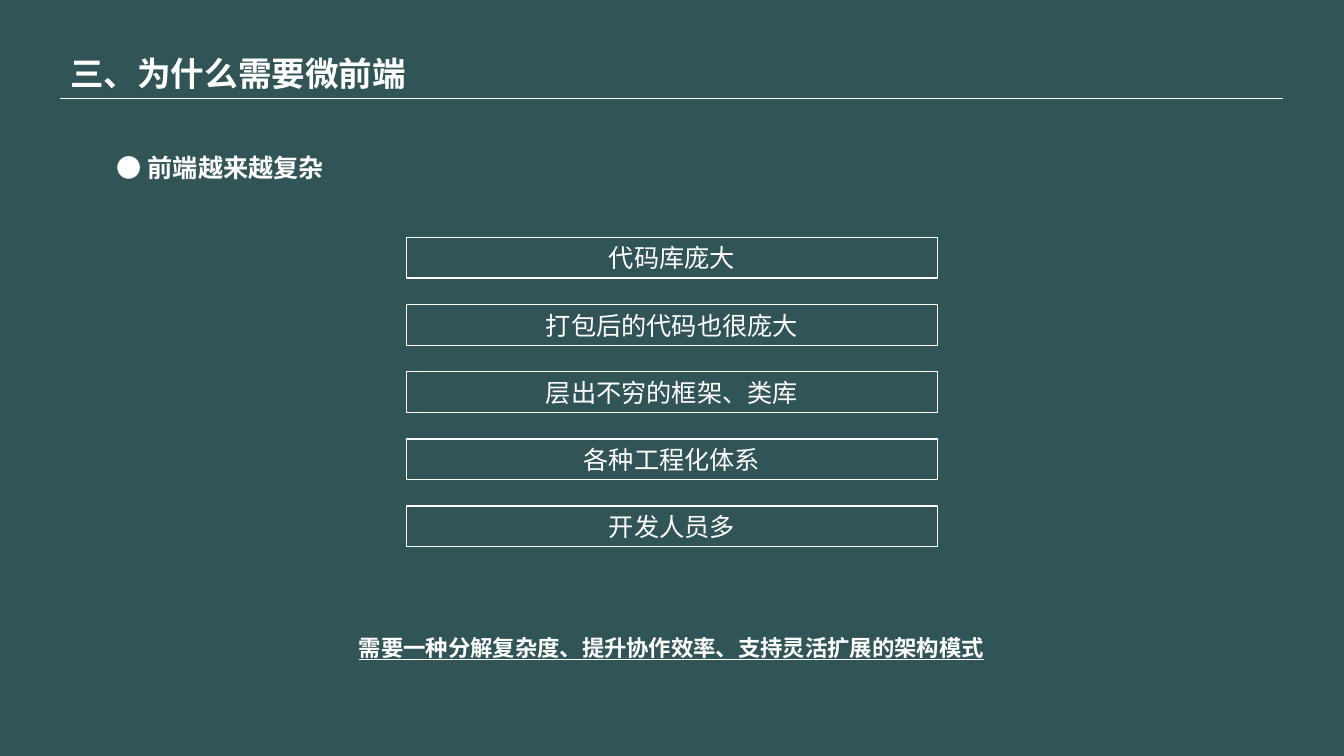
from dataclasses import dataclass

import lxml.etree
import pptx
import pptx.dml.color
import pptx.enum.shapes
import pptx.enum.text
import pptx.oxml.ns
import pptx.util

Pt = pptx.util.Pt
Align = pptx.enum.text.PP_ALIGN
Anchor = pptx.enum.text.MSO_ANCHOR


@dataclass(frozen=True)
class Theme:
    font: str = "Noto Sans CJK SC"
    background: str = "315457"
    ink: str = "FFFFFF"
    title_size: int = 24
    body_size: int = 18
    summary_size: int = 16


THEME = Theme()
INK = pptx.dml.color.RGBColor.from_string(THEME.ink)
REASONS = (
    "代码库庞大",
    "打包后的代码也很庞大",
    "层出不穷的框架、类库",
    "各种工程化体系",
    "开发人员多",
)


def write(shape, text, size, bold=False, align=Align.LEFT):
    """Put one paragraph into the shape and return it."""
    para = shape.text_frame.paragraphs[0]
    para.text = text
    para.alignment = align
    font = para.font
    font.name, font.size, font.bold = THEME.font, Pt(size), bold
    font.color.rgb = INK
    # The East Asian typeface has no public setter.
    properties = para.runs[0].font
    properties.name = THEME.font
    for latin in para._p.iter(pptx.oxml.ns.qn("a:latin")):
        east_asian = lxml.etree.Element(pptx.oxml.ns.qn("a:ea"), typeface=THEME.font)
        latin.addnext(east_asian)
    return para


def add_text(page, left, top, width, height, text, size, align=Align.LEFT, wrap=True):
    box = page.shapes.add_textbox(Pt(left), Pt(top), Pt(width), Pt(height))
    box.text_frame.word_wrap = wrap
    return write(box, text, size, bold=True, align=align)


def add_header(page, left, top, width, height):
    """Place the title with a rule along the lower edge of its region."""
    add_text(page, left, top, 257, height, "三、为什么需要微前端", THEME.title_size, wrap=False)
    bottom = Pt(top + height)
    rule = page.shapes.add_connector(
        pptx.enum.shapes.MSO_CONNECTOR.STRAIGHT, Pt(left), bottom, Pt(left + width), bottom
    )
    rule.line.color.rgb = INK
    rule.line.width = Pt(0.5)
    lxml.etree.SubElement(rule._element.spPr, pptx.oxml.ns.qn("a:effectLst"))


def add_reasons(page, left, top, width, height, box_height=29):
    """Spread the outlined boxes evenly from the top to the bottom of the region."""
    pitch = (height - box_height) / (len(REASONS) - 1)
    for row, reason in enumerate(REASONS):
        box = page.shapes.add_shape(
            pptx.enum.shapes.MSO_SHAPE.RECTANGLE,
            Pt(left), Pt(top + row * pitch), Pt(width), Pt(box_height),
        )
        box.shadow.inherit = False
        box.fill.background()
        box.line.color.rgb = INK
        box.line.width = Pt(1)
        box.text_frame.vertical_anchor = Anchor.MIDDLE
        write(box, reason, THEME.body_size, align=Align.CENTER)


def add_summary(page, left, top, width, height):
    para = add_text(
        page, left, top, width, height,
        "需要一种分解复杂度、提升协作效率、支持灵活扩展的架构模式",
        THEME.summary_size, align=Align.CENTER,
    )
    para.line_spacing = Pt(22)
    para.font.underline = True


def build_page(deck):
    page = deck.slides.add_slide(deck.slide_layouts[6])
    fill = page.background.fill
    fill.solid()
    fill.fore_color.rgb = pptx.dml.color.RGBColor.from_string(THEME.background)
    add_header(page, 43, 34, 873.5, 36.3)
    add_text(page, 76.3, 105, 203, 29, "● 前端越来越复杂", THEME.body_size)
    add_reasons(page, 290.2, 169.7, 379.5, 220.7)
    add_summary(page, 76.3, 446.4, 807, 28)


def main():
    deck = pptx.Presentation()
    deck.slide_width, deck.slide_height = Pt(960), Pt(540)
    build_page(deck)
    deck.save("out.pptx")


if __name__ == "__main__":
    main()
